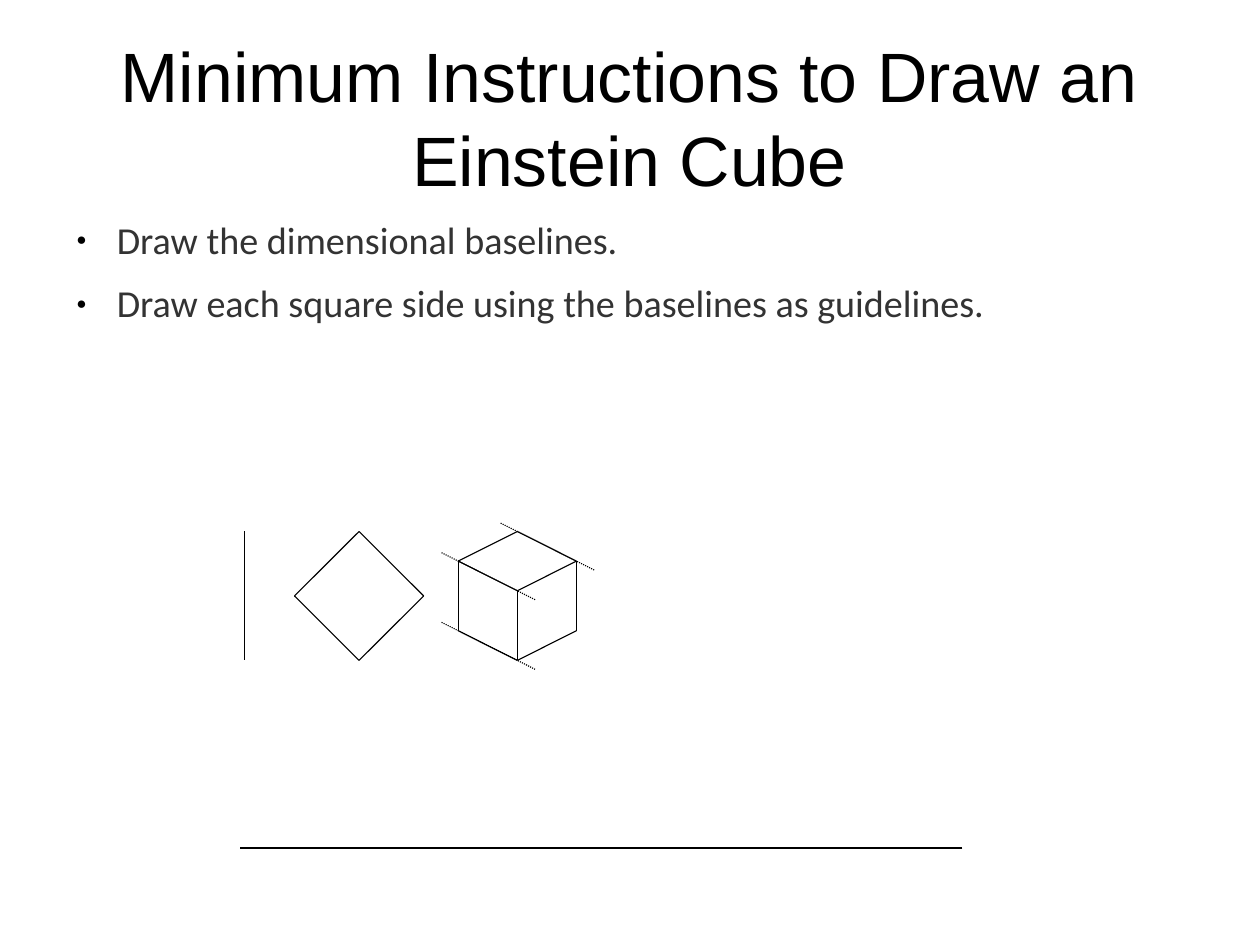
from lxml import etree
from pptx import Presentation
from pptx.dml.color import RGBColor
from pptx.enum.dml import MSO_LINE
from pptx.enum.shapes import MSO_CONNECTOR
from pptx.enum.text import MSO_ANCHOR, MSO_AUTO_SIZE, PP_ALIGN
from pptx.oxml.ns import qn
from pptx.util import Pt

STRAIGHT = MSO_CONNECTOR.STRAIGHT
DOTTED = MSO_LINE.ROUND_DOT
TOP, MIDDLE = MSO_ANCHOR.TOP, MSO_ANCHOR.MIDDLE
NO_FIT = MSO_AUTO_SIZE.NONE
LEFT, CENTER = PP_ALIGN.LEFT, PP_ALIGN.CENTER
BLACK, GREY = "000000", "333333"
LINE_WIDTH = 0.71

TITLE = "Minimum Instructions to Draw an Einstein Cube"
STEPS = [
    "Draw the dimensional baselines.",
    "Draw each square side using the baselines as guidelines.",
]
PAGE_SIZE = {"slide_width": Pt(793.7), "slide_height": Pt(595.28)}
TITLE_BOX = (39.6, 23.8, 714.2, 99.4)
STEPS_BOX = (39.6, 139.5, 714.2, 393)
BASELINE_BOX = (154.2, 334.8, 0, 81.2)
DIAMOND_BOX = (185.5, 334.8, 81.4, 81.2)
CUBE_BOX = (288.7, 334.8, 74.4, 81.2)
RULE_BOX = (151.2, 534.2, 455, 0)

DIAMOND_CORNERS = [(0.5, 0), (1, 0.5), (0.5, 1), (0, 0.5)]
CUBE_CORNERS = {
    "back": (0.5, 0), "left": (0, 0.23), "right": (1, 0.23),
    "front": (0.5, 0.46), "low left": (0, 0.77),
    "low right": (1, 0.77), "low front": (0.5, 1),
}
CUBE_EDGES = [
    ("low left", "low front"), ("low front", "low right"),
    ("front", "right"), ("left", "front"),
    ("right", "low right"), ("left", "low left"),
    ("back", "right"), ("left", "back"), ("front", "low front"),
]
GUIDED_EDGES = [
    ("back", "right"), ("left", "front"), ("low left", "low front"),
]
OVERHANG = 0.3


def color(value):
    """Return the colour for a hex string."""
    return RGBColor.from_string(value)


def apply_format(target, values):
    """Set every attribute named in a dict of format values."""
    for name, value in values.items():
        setattr(target, name, value)


def add_line(shapes, box, start, end, dash=None):
    """Draw a thin line between two points given as fractions of the box."""
    left, top, width, height = box
    ends = [Pt(round(edge + part * size, 2))
            for x, y in (start, end)
            for edge, part, size in ((left, x, width), (top, y, height))]
    line = shapes.add_connector(STRAIGHT, *ends)
    line.line.color.rgb = color(BLACK)
    apply_format(line.line, {"width": Pt(LINE_WIDTH), "dash_style": dash})
    etree.SubElement(line._element.spPr, qn("a:effectLst"))


def fill_placeholder(holder, box, texts, anchor, font, para_format):
    """Place a placeholder and write one formatted paragraph per text."""
    sides = ("left", "top", "width", "height")
    apply_format(holder, {side: Pt(size) for side, size in zip(sides, box)})
    frame = holder.text_frame
    apply_format(frame, {
        "word_wrap": True, "auto_size": NO_FIT, "vertical_anchor": anchor,
        "margin_left": 0, "margin_top": 0,
        "margin_right": 0, "margin_bottom": 0,
    })
    frame.text = "\n".join(texts)
    for para in frame.paragraphs:
        apply_format(para, para_format)
        for span in para.runs:
            apply_format(span.font, {key: font[key] for key in ("name", "size")})
            span.font.color.rgb = color(font["color"])
    return frame.paragraphs


def add_bullet(para):
    """Give a paragraph a small black round bullet with a hanging indent."""
    settings = para._p.get_or_add_pPr()
    for name, value in {"marL": Pt(34), "indent": Pt(-25.5)}.items():
        settings.set(name, str(int(value)))
    bullet_color = etree.SubElement(settings, qn("a:buClr"))
    etree.SubElement(bullet_color, qn("a:srgbClr"), val=BLACK)
    etree.SubElement(settings, qn("a:buSzPct"), val="45000")
    etree.SubElement(settings, qn("a:buFont"), typeface="Arial")
    etree.SubElement(settings, qn("a:buChar"), char="●")


def build_title(page, box):
    """Write the centred slide title."""
    font = {"name": "Arial", "size": Pt(44), "color": BLACK}
    fill_placeholder(page.shapes.title, box, [TITLE], MIDDLE, font,
                     {"alignment": CENTER})


def build_steps(page, box):
    """Write the bulleted drawing steps."""
    font = {"name": "Calibri", "size": Pt(24), "color": GREY}
    para_format = {"alignment": LEFT, "line_spacing": 0.9,
                   "space_before": Pt(0), "space_after": Pt(14.1)}
    for para in fill_placeholder(page.placeholders[1], box, STEPS, TOP,
                                 font, para_format):
        add_bullet(para)


def build_diamond(page, box):
    """Draw the square standing on its corner."""
    shapes = page.shapes.add_group_shape().shapes
    following = DIAMOND_CORNERS[1:] + DIAMOND_CORNERS[:1]
    for start, end in zip(DIAMOND_CORNERS, following):
        add_line(shapes, box, start, end)


def build_cube(page, box):
    """Draw the cube edges and the dotted guidelines that overshoot them."""
    shapes = page.shapes.add_group_shape().shapes
    for start, end in CUBE_EDGES:
        add_line(shapes, box, CUBE_CORNERS[start], CUBE_CORNERS[end])
    for names in GUIDED_EDGES:
        (x1, y1), (x2, y2) = (CUBE_CORNERS[name] for name in names)
        dx, dy = OVERHANG * (x2 - x1), OVERHANG * (y2 - y1)
        add_line(shapes, box, (x2 + dx, y2 + dy), (x1 - dx, y1 - dy), DOTTED)


def build_rule(page, box, count=4, length=115.2):
    """Draw the bottom rule as equal, slightly overlapping lines."""
    left, top, width, height = box
    step = (width - length) / (count - 1)
    for index in range(count):
        part = (left + index * step, top, length, height)
        add_line(page.shapes, part, (1, 0), (0, 0))


def build_page(deck):
    """Assemble the slide from its regions."""
    page = deck.slides.add_slide(deck.slide_layouts[1])
    build_title(page, TITLE_BOX)
    build_diamond(page, DIAMOND_BOX)
    add_line(page.shapes, BASELINE_BOX, (0, 0), (0, 1))
    build_cube(page, CUBE_BOX)
    build_steps(page, STEPS_BOX)
    build_rule(page, RULE_BOX)


deck = Presentation()
apply_format(deck, PAGE_SIZE)
build_page(deck)
deck.save("out.pptx")
